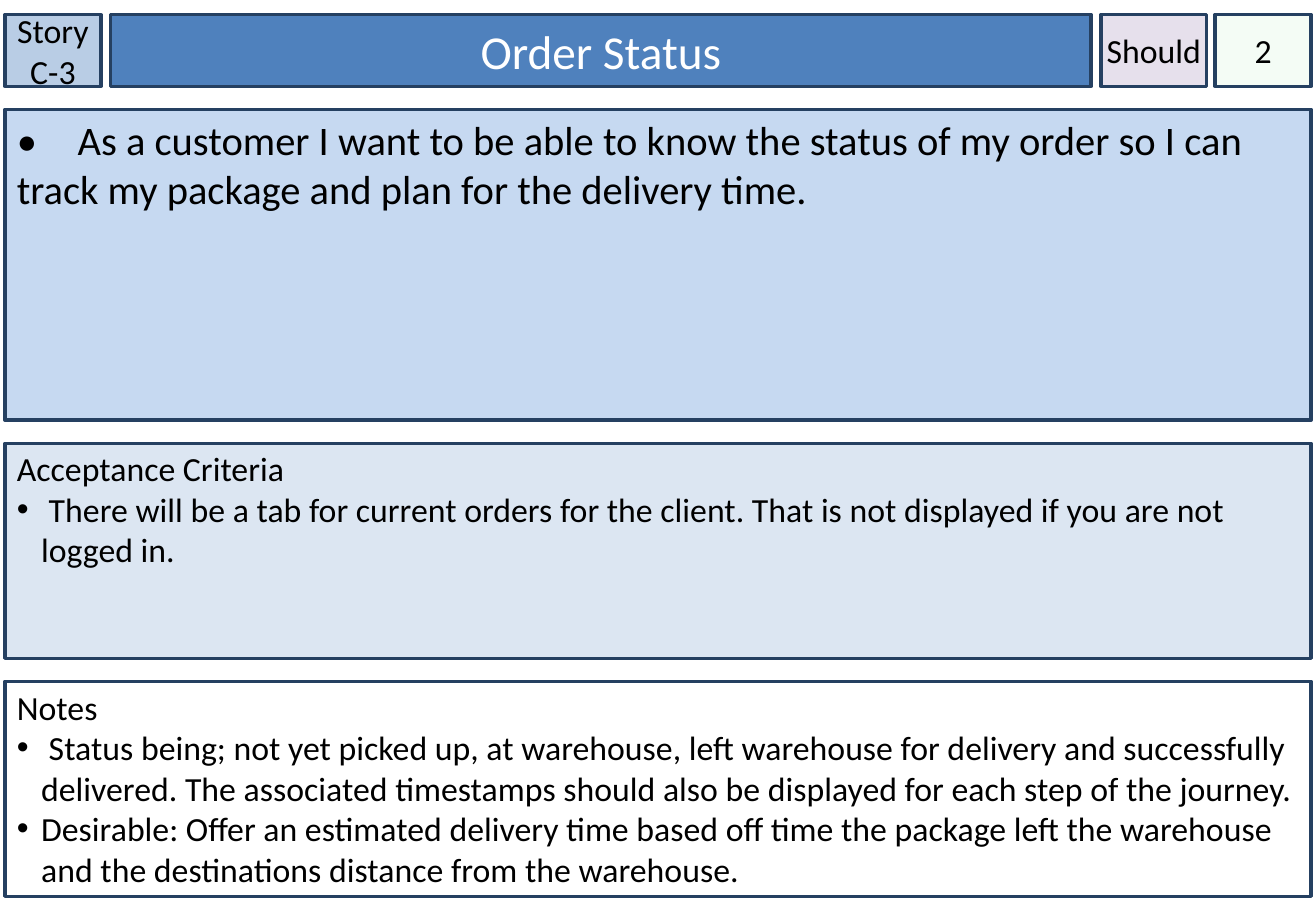
from lxml.etree import SubElement as Sub
from pptx import Presentation
from pptx.dml.color import RGBColor
from pptx.enum.shapes import MSO_SHAPE as Shape
from pptx.enum.text import MSO_ANCHOR as Anchor, PP_ALIGN as Align
from pptx.oxml.ns import qn
from pptx.util import Inches, Pt


def color(code):
    return RGBColor.from_string(code)


class Card:
    font = "Calibri"
    ink = "000000"
    edge = "254061"

    def __init__(self, slide):
        self.slide = slide

    def box(self, left, top, width, height, fill, alpha=None):
        box = self.slide.shapes.add_shape(
            Shape.RECTANGLE, Inches(left), Inches(top), Inches(width), Inches(height))
        box.shadow.inherit = False
        box.fill.solid()
        box.fill.fore_color.rgb = color(fill)
        if alpha:
            tint = box._element.spPr.find(qn("a:solidFill"))[0]
            Sub(tint, qn("a:alpha"), val=str(alpha * 1000))
        box.line.color.rgb = color(self.edge)
        box.line.width = Pt(2)
        box.text_frame.word_wrap = True
        return box

    def style(self, para, text, size, ink, align):
        para.text = text
        para.alignment = align
        for run in para.runs:
            run.font.name = self.font
            run.font.size = Pt(size)
            run.font.color.rgb = color(ink)

    def bullet(self, para):
        props = para._p.get_or_add_pPr()
        props.set("marL", str(Inches(0.2)))
        props.set("indent", str(-Inches(0.2)))
        Sub(props, qn("a:buFont"), typeface="Arial")
        Sub(props, qn("a:buChar"), char="•")

    def label(self, left, width, text, fill, size=20, ink=ink, side=0, wrap=True, alpha=None):
        frame = self.box(left, 0.12, width, 0.59, fill, alpha).text_frame
        frame.word_wrap = wrap
        frame.vertical_anchor = Anchor.MIDDLE
        frame.margin_left = frame.margin_right = Inches(side)
        self.style(frame.paragraphs[0], text, size, ink, Align.CENTER)

    def panel(self, top, height, fill, head, items=(), size=20, inset=0.04):
        frame = self.box(0.04, top, 10.75, height, fill).text_frame
        frame.vertical_anchor = Anchor.TOP
        frame.margin_top = Inches(inset)
        self.style(frame.paragraphs[0], head, size, self.ink, Align.LEFT)
        for item in items:
            para = frame.add_paragraph()
            self.bullet(para)
            self.style(para, item, size, self.ink, Align.LEFT)


def main():
    deck = Presentation()
    deck.slide_width = Inches(10.83)
    deck.slide_height = Inches(7.5)
    card = Card(deck.slides.add_slide(deck.slide_layouts[6]))

    card.label(0.04, 0.79, "Story C-3", "B9CDE5")
    card.label(0.91, 8.07, "Order Status", "4F81BD", size=28, ink="FFFFFF", side=0.1)
    card.label(9.06, 0.87, "Should", "E6E0EC", wrap=False)
    card.label(10, 0.79, "2", "CCF0CD", alpha=20)

    card.panel(0.9, 2.56, "C6D9F1",
               "•\tAs a customer I want to be able to know the status of my order "
               "so I can track my package and plan for the delivery time.",
               size=24, inset=0.05)
    card.panel(3.65, 1.77, "DCE6F2", "Acceptance Criteria", [
        " There will be a tab for current orders for the client. "
        "That is not displayed if you are not logged in."])
    card.panel(5.61, 1.77, "FFFFFF", "Notes", [
        " Status being; not yet picked up, at warehouse, left warehouse for delivery "
        "and successfully delivered. The associated timestamps should also be "
        "displayed for each step of the journey.",
        "Desirable: Offer an estimated delivery time based off time the package "
        "left the warehouse and the destinations distance from the warehouse."])

    deck.save("out.pptx")


if __name__ == "__main__":
    main()
